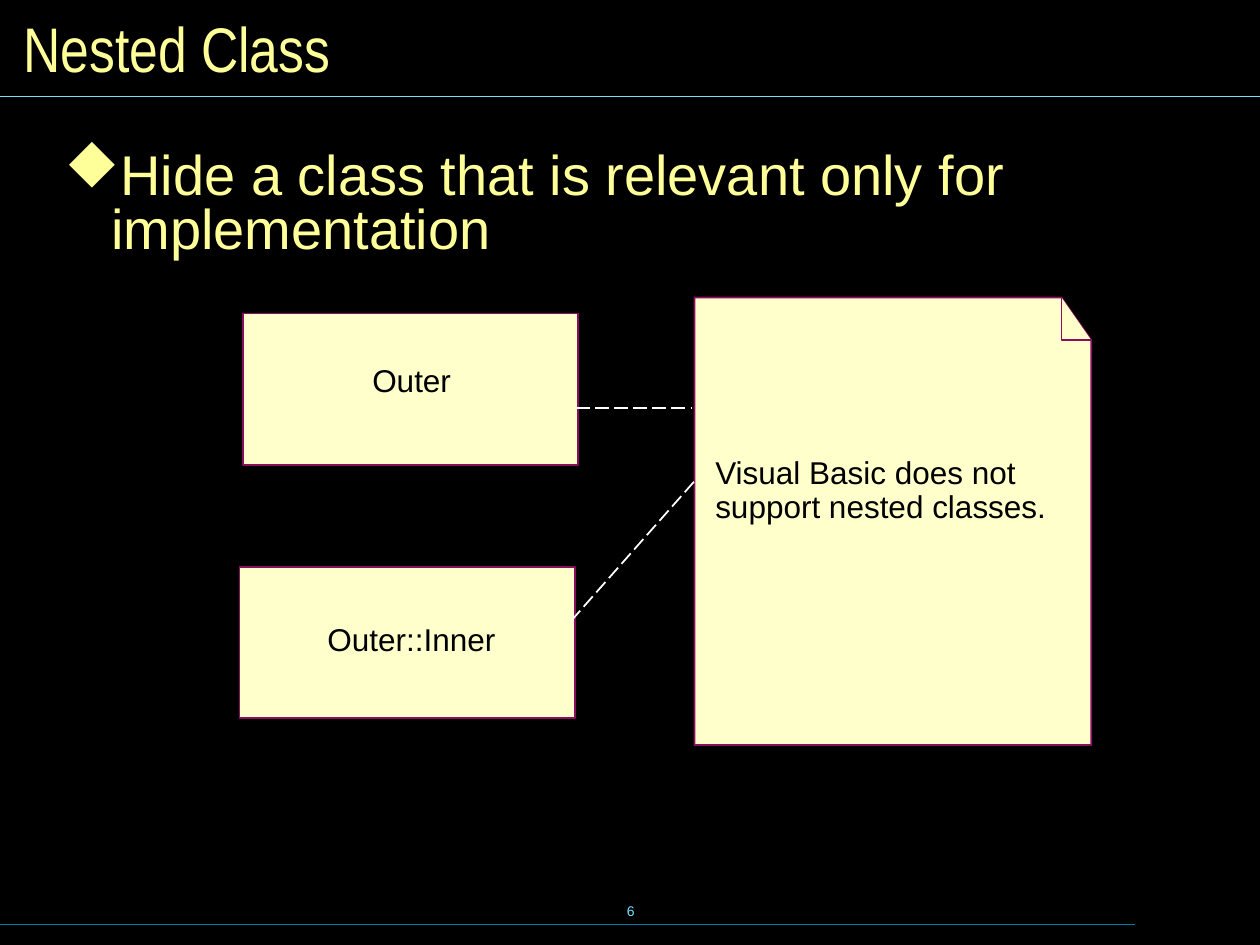
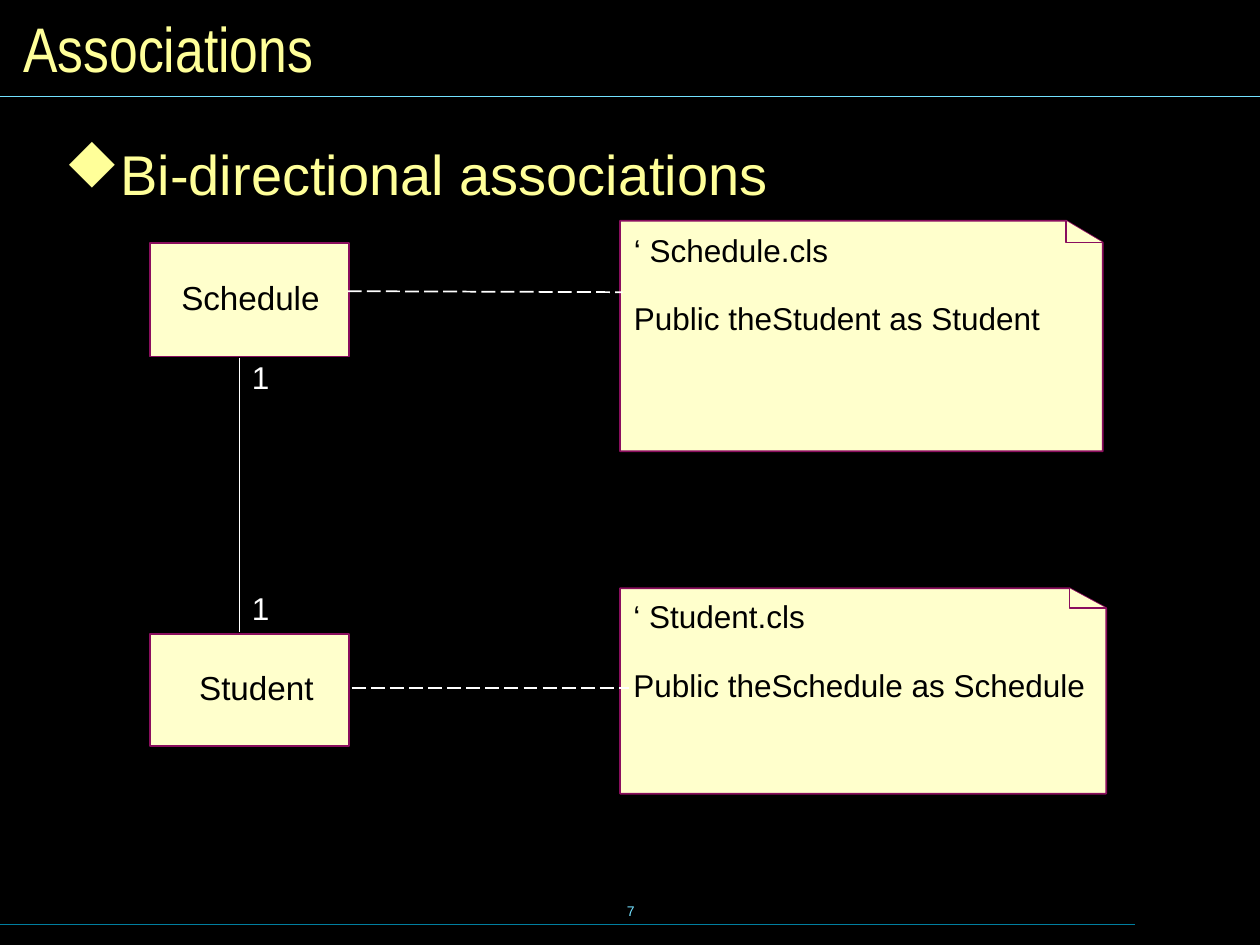
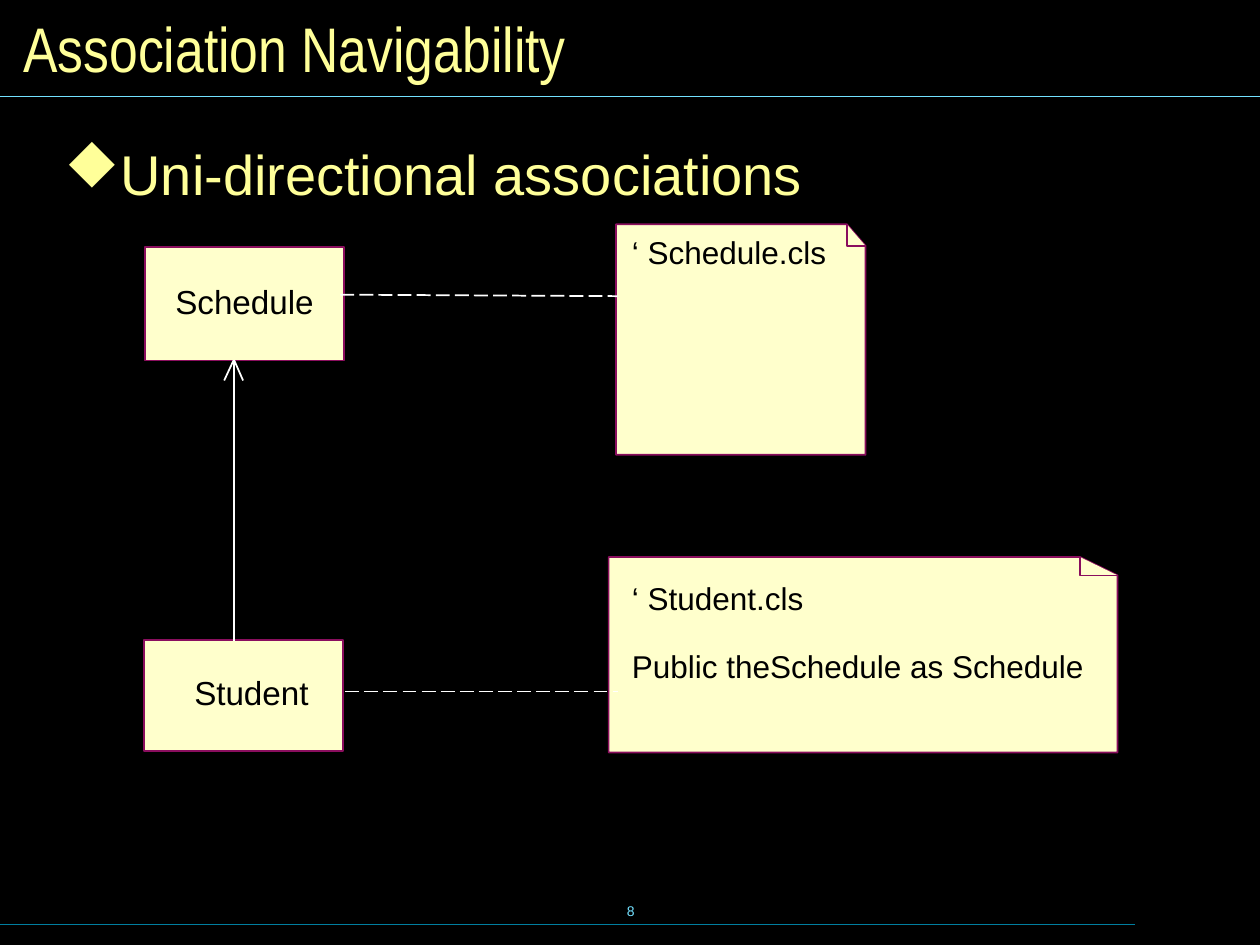
from dataclasses import dataclass

from lxml.etree import SubElement
from pptx import Presentation
from pptx.dml.color import RGBColor
from pptx.enum.dml import MSO_LINE
from pptx.enum.shapes import MSO_CONNECTOR, MSO_SHAPE
from pptx.enum.text import MSO_ANCHOR, MSO_AUTO_SIZE, PP_ALIGN
from pptx.oxml.ns import qn
from pptx.util import Cm, Pt


@dataclass(frozen=True)
class Theme:
    background: str = "000000"
    heading: str = "FFFF99"
    paper: str = "FFFFCC"
    border: str = "8A0E5E"
    ink: str = "000000"
    white: str = "FFFFFF"
    top_rule: str = "73E1FF"
    bottom_rule: str = "007E9F"
    font: str = "Arial"
    title_font: str = "Arial Narrow"
    bullet_font: str = "Wingdings"
    bullet: str = "u"  # a diamond in the bullet font
    title_size: int = 36
    body_size: int = 32
    class_size: int = 19
    note_size: int = 18
    number_size: int = 8
    outline: float = 1
    rule: float = 0.75


theme = Theme()


def write(page, text, area, *, size=theme.note_size, color=theme.ink, font=theme.font,
          align=PP_ALIGN.LEFT, anchor=MSO_ANCHOR.TOP, wrap=False, fit=False, spacing=None,
          gap=0, bullet=None, inset=(0.25, 0.13)):
    """Add a text box; each line of text is a paragraph, gap is the points above later ones."""
    box = page.shapes.add_textbox(*map(Cm, area))
    frame = box.text_frame
    frame.word_wrap = wrap
    if fit:
        frame.auto_size = MSO_AUTO_SIZE.SHAPE_TO_FIT_TEXT
    frame.vertical_anchor = anchor
    frame.margin_left = frame.margin_right = Cm(inset[0])
    frame.margin_top = frame.margin_bottom = Cm(inset[1])
    for index, line in enumerate(text.split("\n")):
        para = frame.add_paragraph() if index else frame.paragraphs[0]
        para.alignment = align
        if spacing:
            para.line_spacing = spacing
        if index:
            para.space_before = Pt(gap)
        if bullet:
            para.space_before = Pt(12)
            props = para._p.get_or_add_pPr()
            props.set("marL", str(Cm(0.94)))
            props.set("indent", str(-Cm(0.94)))
            bullet_color = SubElement(props, qn("a:buClr"))
            SubElement(bullet_color, qn("a:srgbClr"), val=color)
            SubElement(props, qn("a:buFont"), typeface=theme.bullet_font, charset="2")
            SubElement(props, qn("a:buChar"), char=bullet)
        span = para.add_run()
        span.text = line
        span.font.name = font
        span.font.size = Pt(size)
        span.font.color.rgb = RGBColor.from_string(color)


def draw_line(page, ends, color=theme.white, width=theme.outline, dashed=False):
    line = page.shapes.add_connector(MSO_CONNECTOR.STRAIGHT, *map(Cm, ends))
    line.line.color.rgb = RGBColor.from_string(color)
    line.line.width = Pt(width)
    if dashed:
        line.line.dash_style = MSO_LINE.LONG_DASH
    SubElement(line._element.spPr, qn("a:effectLst"))


# Areas are left, top, width, height and lines x1, y1, x2, y2, all in centimetres.
# A class is: name, box area, label area. A note is: area, fold size, text, text area.
slides = [
    dict(
        title="Nested Class",
        body="Hide a class that is relevant only for implementation",
        class_size=theme.note_size,
        classes=[
            ("Outer", (4.9, 6.32, 6.76, 3.05), (6.99, 7.24, 2.62, 0.91)),
            ("Outer::Inner", (4.83, 11.43, 6.76, 3.05), (6.33, 12.45, 3.93, 0.91)),
        ],
        notes=[
            ((14, 6, 8, 9.02), (0.6, 0.86),
             "Visual Basic does not support nested classes.", (14.17, 9.09, 7.37, 1.6)),
        ],
        note_links=[(11.61, 8.23, 13.94, 8.23), (11.51, 12.52, 14, 9.7)],
        associations=[],
        multiplicities=[],
    ),
    dict(
        title="Associations",
        body="Bi-directional associations",
        class_size=theme.class_size,
        classes=[
            ("Schedule", (3.02, 4.9, 4.01, 2.29), (3.4, 5.56, 3.3, 0.99)),
            ("Student", (3.02, 12.78, 4.01, 2.26), (3.76, 13.41, 2.82, 0.99)),
        ],
        notes=[
            ((12.5, 11.86, 9.8, 4.14), (0.74, 0.4),
             "‘ Student.cls\nPublic theSchedule as Schedule", (12.52, 12, 9.8, 2.29)),
            ((12.5, 4.45, 9.73, 4.65), (0.74, 0.44),
             "‘ Schedule.cls\nPublic theStudent as Student", (12.53, 4.62, 8.8, 2.29)),
        ],
        note_links=[(7.01, 5.87, 12.55, 5.89), (7.09, 13.87, 12.67, 13.87)],
        associations=[(4.83, 7.21, 4.83, 12.75)],
        multiplicities=[(4.83, 11.74, 0.86, 1.02), (4.83, 7.09, 0.86, 1.02)],
    ),
    dict(
        title="Association Navigability",
        body="Uni-directional associations",
        class_size=theme.class_size,
        classes=[
            ("Schedule", (2.92, 4.98, 4.01, 2.29), (3.28, 5.64, 3.3, 0.99)),
            ("Student", (2.9, 12.9, 4.01, 2.24), (3.66, 13.51, 2.82, 0.99)),
        ],
        notes=[
            ((12.42, 4.52, 5.03, 4.65), (0.38, 0.44),
             "‘ Schedule.cls", (12.49, 4.65, 4.7, 0.91)),
            ((12.27, 11.23, 10.26, 3.94), (0.76, 0.37),
             "‘ Student.cls\nPublic theSchedule as Schedule", (12.49, 11.63, 9.96, 2.29)),
        ],
        note_links=[(6.86, 5.94, 12.45, 5.97), (6.96, 13.94, 12.45, 13.94)],
        # The shaft, then the two strokes of its open head.
        associations=[(4.72, 7.29, 4.72, 12.93), (4.52, 7.67, 4.71, 7.26),
                      (4.9, 7.67, 4.72, 7.26)],
        multiplicities=[],
    ),
]

deck = Presentation()
deck.slide_width, deck.slide_height = Cm(25.4), Cm(19.05)
backdrop = deck.slide_master.background.fill
backdrop.solid()
backdrop.fore_color.rgb = RGBColor.from_string(theme.background)

for number, content in enumerate(slides, start=6):
    page = deck.slides.add_slide(deck.slide_layouts[6])

    write(page, str(number), (8.69, 17.73, 8.05, 1.27), size=theme.number_size,
          color=theme.top_rule, align=PP_ALIGN.CENTER, anchor=MSO_ANCHOR.MIDDLE)
    draw_line(page, (0, 18.63, 22.89, 18.63), theme.bottom_rule, theme.rule)
    draw_line(page, (0, 1.94, 25.4, 1.94), theme.top_rule, theme.rule)

    papers = [page.shapes.add_shape(MSO_SHAPE.RECTANGLE, *map(Cm, box_area))
              for _, box_area, _ in content["classes"]]
    for (left, top, width, height), (fold_width, fold_height), _, _ in content["notes"]:
        right, bottom = left + width, top + height
        fold_left, fold_bottom = right - fold_width, top + fold_height
        sheet = [(right, bottom), (left, bottom), (left, top), (fold_left, top),
                 (right, fold_bottom)]
        fold = [(right, fold_bottom), (fold_left, fold_bottom), (fold_left, top)]
        for outline, closed in ((sheet, True), (fold, False)):
            corners = [(Cm(x), Cm(y)) for x, y in outline]
            builder = page.shapes.build_freeform(*corners[0])
            builder.add_line_segments(corners[1:], close=closed)
            papers.append(builder.convert_to_shape())
    for paper in papers:
        paper.shadow.inherit = False
        paper.fill.solid()
        paper.fill.fore_color.rgb = RGBColor.from_string(theme.paper)
        paper.line.color.rgb = RGBColor.from_string(theme.border)
        paper.line.width = Pt(theme.outline)

    for name, _, label_area in content["classes"]:
        write(page, name, label_area, size=content["class_size"],
              align=PP_ALIGN.CENTER, fit=True, spacing=0.9)
    for _, _, text, text_area in content["notes"]:
        write(page, text, text_area, wrap=True, fit=True, spacing=0.9, gap=19.5)
    for area in content["multiplicities"]:
        write(page, "1", area, color=theme.white, fit=True)
    for ends in content["associations"]:
        draw_line(page, ends)
    for ends in content["note_links"]:
        draw_line(page, ends, dashed=True)

    write(page, content["title"], (0.22, 0.22, 25, 1.47), size=theme.title_size,
          color=theme.heading, font=theme.title_font, anchor=MSO_ANCHOR.MIDDLE, wrap=True)
    write(page, content["body"], (1, 2.92, 23.6, 14.02), size=theme.body_size,
          color=theme.heading, wrap=True, spacing=0.8, bullet=theme.bullet,
          inset=(0.3, 0.15))

deck.save("out.pptx")
